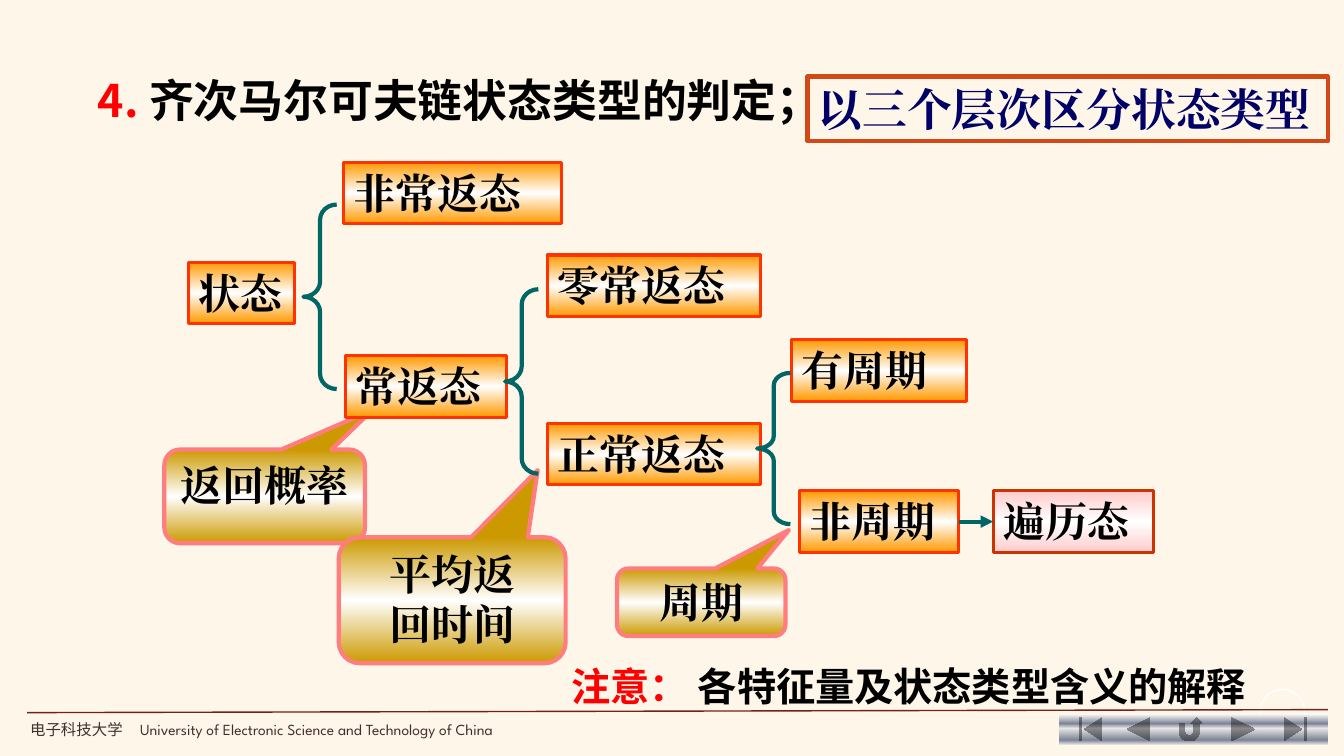
"""Build the slide that classifies the states of a homogeneous Markov chain."""
from dataclasses import dataclass

from lxml.etree import SubElement
from pptx import Presentation
from pptx.dml.color import RGBColor
from pptx.enum.shapes import MSO_CONNECTOR, MSO_SHAPE as SHAPE
from pptx.enum.text import MSO_ANCHOR as ANCHOR, PP_ALIGN as ALIGN
from pptx.oxml.ns import qn
from pptx.util import Inches, Pt


@dataclass(frozen=True)
class Theme:
    """Colours, fonts and sizes of the slide."""
    paper: str = "FEF7E9"
    ink: str = "000000"
    alert: str = "FF0000"
    navy: str = "000066"
    teal: str = "006666"
    frame: str = "D34817"
    rule: str = "742217"
    credit: str = "422E2E"
    white: str = "FFFFFF"
    state_line: str = "FF3300"
    ergodic_line: str = "CC3300"
    callout_line: str = "FF7C80"
    state_fill: tuple = ((0, "FF9900"), (50, "FFFFFF"), (100, "FF9900"))
    ergodic_fill: tuple = ((0, "FFCCCC"), (50, "FFFFFF"), (100, "FFCCCC"))
    callout_fill: tuple = ((0, "CC9900"), (50, "FFFFFF"), (100, "CC9900"))
    button_fill: tuple = ((0, "FFFFFF"), (7, "E6E6E6"), (32, "7D8496"),
                          (47, "E6E6E6"), (85, "7D8496"), (100, "E6E6E6"))
    heading_font: str = "Noto Sans CJK SC"
    body_font: str = "Times New Roman"
    credit_font: str = "Noto Sans CJK JP"
    credit_latin: str = "League Spartan"
    heading_size: int = 32
    note_size: int = 28
    state_size: int = 30
    credit_size: int = 11


THEME = Theme()


def apply(target, formats):
    """Set every attribute named in a dict of format values."""
    for name, value in formats.items():
        setattr(target, name, value)


def add_run(paragraph, text, color, size, font, bold=True):
    """Append a formatted run, with the same font for East Asian text."""
    run = paragraph.add_run()
    run.text = text
    apply(run.font, {"size": Pt(size), "bold": bold, "name": font})
    run.font.color.rgb = RGBColor.from_string(color)
    SubElement(run.font._element, qn("a:ea")).set("typeface", font)


def paint_gradient(shape, stops):
    """Fill a shape with a top-to-bottom gradient."""
    shape.fill.gradient()
    shape.fill.gradient_angle = 270
    stop_list = shape._element.spPr.find(qn("a:gradFill")).find(qn("a:gsLst"))
    for old in list(stop_list):
        stop_list.remove(old)
    for percent, color in stops:
        stop = SubElement(stop_list, qn("a:gs"), pos=str(percent * 1000))
        SubElement(stop, qn("a:srgbClr"), val=color)


def draw_line(line, color, width):
    """Colour an outline, or hide it when there is no colour."""
    if color is None:
        line.fill.background()
        return
    line.color.rgb = RGBColor.from_string(color)
    line.width = Pt(width)


def add_figure(slide, kind, place, stops=None, line=None, width=1, adjust=()):
    """Add a preset shape with a gradient fill and an outline."""
    figure = slide.shapes.add_shape(kind, *map(Inches, place))
    figure.shadow.inherit = False
    if stops:
        paint_gradient(figure, stops)
    else:
        figure.fill.background()
    draw_line(figure.line, line, width)
    for index, value in enumerate(adjust):
        figure.adjustments[index] = value
    return figure


def write_lines(shape, lines, align, color, size):
    """Write one paragraph per line, starting at the top of a shape."""
    frame = shape.text_frame
    apply(frame, {"word_wrap": True, "vertical_anchor": ANCHOR.TOP})
    for index, text in enumerate(lines):
        paragraph = frame.add_paragraph() if index else frame.paragraphs[0]
        paragraph.alignment = align
        add_run(paragraph, text, color, size, THEME.body_font)


def add_state(slide, text, left, top, width, stops=THEME.state_fill, line=THEME.state_line):
    """Add a box that names a type of state."""
    state = add_figure(slide, SHAPE.RECTANGLE, (left, top, width, 0.61), stops, line, 2.25)
    write_lines(state, [text], ALIGN.LEFT, THEME.ink, THEME.state_size)
    return state


def add_callout(slide, lines, place, tip):
    """Add a rounded callout that points at a branch."""
    callout = add_figure(slide, SHAPE.ROUNDED_RECTANGULAR_CALLOUT, place,
                         THEME.callout_fill, THEME.callout_line, 3, (*tip, 0.167))
    write_lines(callout, lines, ALIGN.CENTER, THEME.ink, THEME.state_size)


def add_brace(slide, left, top, height, curl):
    """Add a brace that splits a state into two types."""
    add_figure(slide, SHAPE.LEFT_BRACE, (left, top, 0.33, height),
               line=THEME.teal, width=3, adjust=(curl, 0.5))


def add_rule(slide, start, end, color, width):
    """Add a straight connector without a shadow."""
    rule = slide.shapes.add_connector(MSO_CONNECTOR.STRAIGHT, *map(Inches, start + end))
    draw_line(rule.line, color, width)
    SubElement(rule._element.spPr, qn("a:effectLst"))
    return rule


def add_arrow(slide, source, target):
    """Join the right side of one state to the left side of another."""
    arrow = add_rule(slide, (0, 0), (0, 0), THEME.teal, 3)
    arrow.begin_connect(source, 3)
    arrow.end_connect(target, 1)
    SubElement(arrow.line._get_or_add_ln(), qn("a:tailEnd"), type="triangle")


def write_heading(shape, place, marker, text, size):
    """Place a heading whose red marker comes before black text."""
    apply(shape, dict(zip(("left", "top", "width", "height"), map(Inches, place))))
    apply(shape.text_frame, {"word_wrap": True, "vertical_anchor": ANCHOR.MIDDLE})
    paragraph = shape.text_frame.paragraphs[0]
    apply(paragraph, {"alignment": ALIGN.LEFT, "line_spacing": 0.9, "space_before": Pt(0)})
    add_run(paragraph, marker, THEME.alert, size, THEME.heading_font)
    add_run(paragraph, text, THEME.ink, size, THEME.heading_font)


def add_footer(slide):
    """Add the navigation buttons, the university name and the rule."""
    buttons = ((SHAPE.ACTION_BUTTON_BEGINNING, 10.5, 0.63),
               (SHAPE.ACTION_BUTTON_BACK_OR_PREVIOUS, 11, 0.58),
               (SHAPE.ACTION_BUTTON_RETURN, 11.54, 0.54),
               (SHAPE.ACTION_BUTTON_FORWARD_OR_NEXT, 12.08, 0.5),
               (SHAPE.ACTION_BUTTON_END, 12.53, 0.64))
    for kind, left, width in buttons:
        add_figure(slide, kind, (left, 7.08, width, 0.31), THEME.button_fill)
    credit = slide.shapes.add_textbox(*map(Inches, (0.2, 7.09, 5.52, 0.29)))
    credit.text_frame.word_wrap = True
    paragraph = credit.text_frame.paragraphs[0]
    tabs = SubElement(paragraph._p.get_or_add_pPr(), qn("a:tabLst"))
    SubElement(tabs, qn("a:tab"), pos=str(Inches(1.09)), algn="l")
    for text, font in (("电子科技大学\t", THEME.credit_font),
                       ("University of Electronic Science and Technology of China",
                        THEME.credit_latin)):
        add_run(paragraph, text, THEME.credit, THEME.credit_size, font, False)
    add_rule(slide, (0.27, 7.07), (13.17, 7.04), THEME.rule, 1)


def main():
    """Build and save the slide."""
    deck = Presentation()
    apply(deck, {"slide_width": Inches(13.33), "slide_height": Inches(7.5)})
    slide = deck.slides.add_slide(deck.slide_layouts[5])
    slide.background.fill.solid()
    slide.background.fill.fore_color.rgb = RGBColor.from_string(THEME.paper)

    write_heading(slide.shapes.title, (0.87, 0.77, 9.63, 0.51), "4. ",
                  "齐次马尔可夫链状态类型的判定；", THEME.heading_size)
    add_figure(slide, SHAPE.OVAL, (12.5, 6.84, 0.44, 0.44), line=THEME.white)
    note = slide.shapes.add_textbox(0, 0, 0, 0)
    write_heading(note, (5.57, 6.57, 7.18, 0.52), "注意： ",
                  "各特征量及状态类型含义的解释", THEME.note_size)

    add_callout(slide, ["返回概率"], (1.63, 4.46, 1.99, 0.93), (0.537, -0.921))
    add_callout(slide, ["平均返", "回时间"], (3.36, 5.33, 2.25, 1.25), (0.377, -1.033))
    add_callout(slide, ["周期"], (6.12, 5.64, 1.67, 0.67), (0.521, -1.07))

    for text, left, top, width in (("状态", 1.87, 2.6, 1.05), ("非常返态", 3.41, 1.61, 2.16),
                                   ("常返态", 3.43, 3.53, 1.59), ("零常返态", 5.43, 2.53, 2.11),
                                   ("正常返态", 5.43, 4.2, 2.11), ("有周期", 7.85, 3.37, 1.74)):
        add_state(slide, text, left, top, width)
    aperiodic = add_state(slide, "非周期", 7.93, 4.87, 1.58)
    ergodic = add_state(slide, "遍历态", 9.85, 4.87, 1.59, THEME.ergodic_fill, THEME.ergodic_line)
    for brace in ((3.01, 2.03, 1.83, 0.458), (5.01, 2.87, 1.83, 0.458), (7.51, 3.7, 1.5, 0.375)):
        add_brace(slide, *brace)
    add_arrow(slide, aperiodic, ergodic)

    add_footer(slide)
    levels = add_figure(slide, SHAPE.RECTANGLE, (8.01, 0.76, 5.16, 0.64), line=THEME.frame, width=3)
    write_lines(levels, ["以三个层次区分状态类型"], ALIGN.LEFT, THEME.navy, THEME.heading_size)
    deck.save("out.pptx")


if __name__ == "__main__":
    main()
